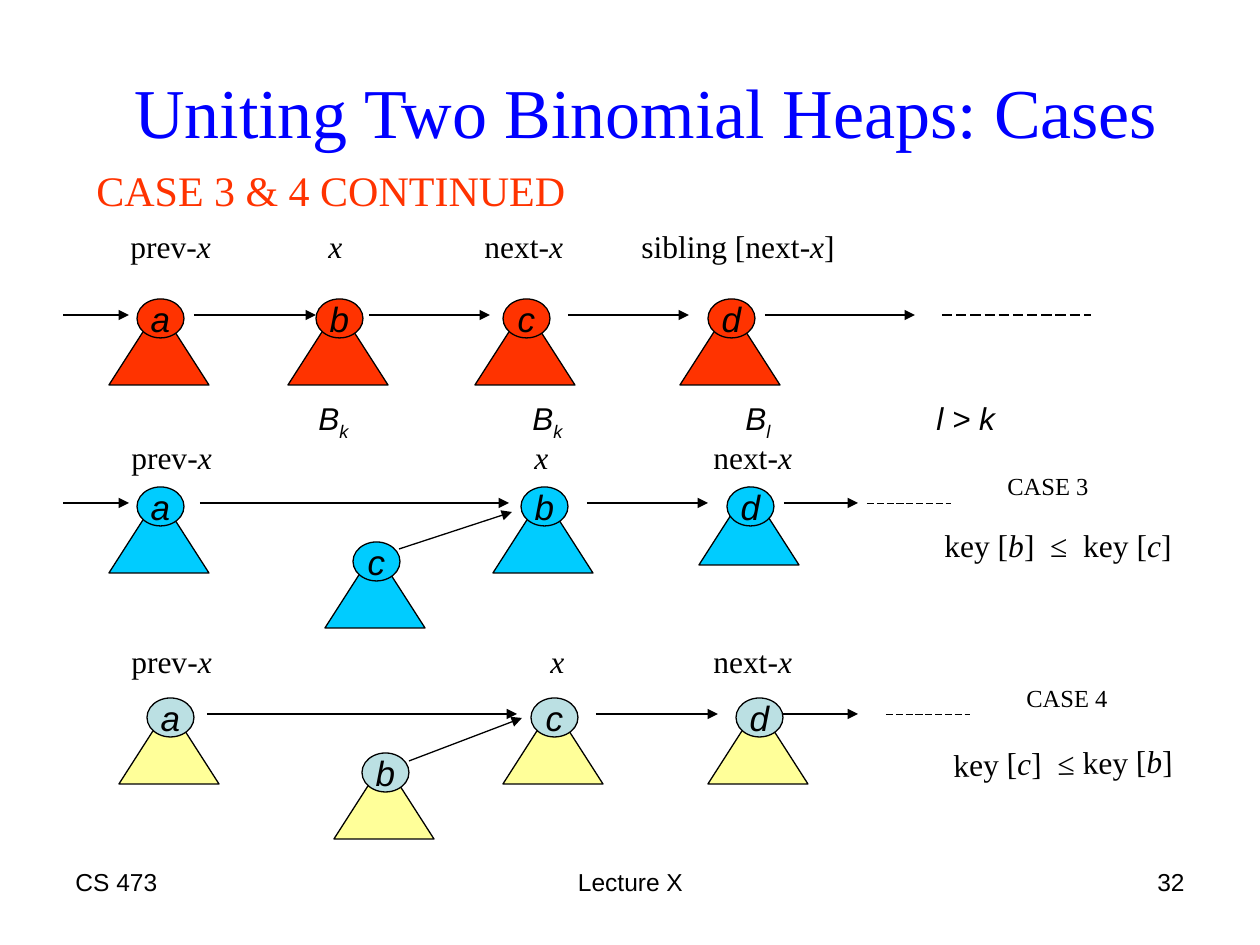
from dataclasses import dataclass
from pptx import Presentation
from pptx.dml.color import RGBColor
from pptx.enum.dml import MSO_LINE_DASH_STYLE as DASH
from pptx.enum.shapes import MSO_CONNECTOR as CONNECTOR, MSO_SHAPE as SHAPE
from pptx.enum.text import MSO_ANCHOR as ANCHOR, MSO_AUTO_SIZE as AUTOSIZE, PP_ALIGN as ALIGN
from pptx.oxml.ns import qn
from pptx.util import Inches, Pt
from lxml.etree import SubElement


@dataclass
class Theme:
    serif: str = "Times New Roman"
    sans: str = "Arial"
    ink: str = "000000"
    title: str = "0000FF"
    red: str = "FF3300"
    blue: str = "00CCFF"
    yellow: str = "FFFF99"
    pale: str = "BBE0E3"
    title_size: int = 40
    heading_size: int = 24
    node_size: int = 20
    label_size: int = 18
    small_size: int = 14
    outline: float = 0.74
    thin: float = 0.51


theme = Theme()
PX = Inches(1) / 126


def px(*lengths):
    return [round(length * PX) for length in lengths]


def write(frame, pieces, size, font=theme.serif, color=theme.ink, align=ALIGN.LEFT,
          italic=False, odd="italic", tabs=()):
    """Write pieces as runs; every second piece is italic or subscript."""
    frame.word_wrap = True
    line = frame.paragraphs[0]
    line.alignment = align
    if tabs:
        stops = SubElement(line._p.get_or_add_pPr(), qn("a:tabLst"))
        for stop in px(*tabs):
            SubElement(stops, qn("a:tab"), pos=str(stop), algn="l")
    for index, piece in enumerate(pieces):
        run = line.add_run()
        run.text = piece
        marked = index % 2 == 1
        looks = {"name": font, "size": Pt(size), "bold": False,
                 "italic": italic or (marked and odd == "italic")}
        for key, value in looks.items():
            setattr(run.font, key, value)
        run.font.color.rgb = RGBColor.from_string(color)
        if marked and odd == "subscript":
            run._r.get_or_add_rPr().set("baseline", "-25000")


deck = Presentation()
deck.slide_width, deck.slide_height = px(1260, 945)
slide = deck.slides.add_slide(deck.slide_layouts[5])
shapes = slide.shapes

# Title
title = shapes.title
title.left, title.top, title.width, title.height = px(63, 32, 1166, 158)
title.text_frame.auto_size = AUTOSIZE.NONE
title.text_frame.vertical_anchor = ANCHOR.MIDDLE
write(title.text_frame, ["Uniting Two Binomial Heaps: Cases"], theme.title_size,
      color=theme.title, align=ALIGN.CENTER)

# Heading, labels, conditions and footer: place, pieces, format
label, small = {"size": theme.label_size}, {"size": theme.small_size}
footer = {**small, "font": theme.sans}
texts = [
    ((84, 158, 567, 73), ["CASE 3 & 4 CONTINUED"],
     {"size": theme.heading_size, "color": theme.red}),
    ((118, 221, 873, 50), ["prev", "-x\tx\t", "next", "-x\t", "sibling [next", "-x", "]"],
     {**label, "tabs": (198, 354, 511)}),
    ((306, 393, 746, 55), ["B", "k", "\tB", "k", "\tB", "l", "\tl > k"],
     {**label, "font": theme.sans, "italic": True, "odd": "subscript",
      "tabs": (214, 427, 618)}),
    ((119, 432, 767, 50), ["prev", "-x\tx\t", "next", "-x"], {**label, "tabs": (403, 582)}),
    ((119, 636, 767, 50), ["prev", "-x\tx\t", "next", "-x"], {**label, "tabs": (419, 582)}),
    ((995, 465, 152, 43), ["CASE 3"], small),
    ((1014, 677, 152, 43), ["CASE 4"], small),
    ((932, 520, 285, 50), ["key [", "b", "]  ≤  key [", "c", "]"], label),
    ((63, 861, 294, 66), ["CS 473"], footer),
    ((431, 861, 399, 66), ["Lecture X"], {**footer, "align": ALIGN.CENTER}),
    ((903, 861, 294, 66), ["32"], {**footer, "align": ALIGN.RIGHT}),
]
for place, pieces, looks in texts:
    write(shapes.add_textbox(*px(*place)).text_frame, pieces, **looks)

# Tilted condition of case 4
case_4_key = shapes.add_textbox(*px(941, 737, 266, 50))
case_4_key.rotation = -1.1
write(case_4_key.text_frame, ["key [", "c", "]  ≤ key [", "b", "]"], **label)

# Links between roots: start, end
arrows = [(x1, y, x2, y) for y, spans in [
    (315, [(63, 129), (194, 316), (369, 490), (568, 689), (765, 915)]),
    (503, [(63, 129), (200, 509), (587, 708), (784, 858)]),
    (714, [(207, 517), (596, 718), (782, 858)]),
] for x1, x2 in spans]
arrows += [(399, 549, 512, 512), (409, 761, 522, 718)]
dashes = [(942, 315, 1091, 315), (867, 503, 951, 503), (886, 714, 970, 714)]
for ends in arrows + dashes:
    link = shapes.add_connector(CONNECTOR.STRAIGHT, *px(*ends))
    link.line.color.rgb = RGBColor.from_string(theme.ink)
    link.line.width = Pt(theme.outline if ends not in dashes[1:] else theme.thin)
    if ends in dashes:
        link.line.dash_style = DASH.LONG_DASH
    else:
        SubElement(link.line._get_or_add_ln(), qn("a:tailEnd"), type="triangle")
    SubElement(link._element.spPr, qn("a:effectLst"))

# Heaps: tree fill, root fill, then name, left and top of each root
forests = [
    (theme.red, theme.red, [("a", 137, 299), ("b", 316, 299), ("c", 503, 299), ("d", 708, 299)]),
    (theme.blue, theme.blue, [("a", 137, 487), ("c", 353, 542), ("b", 521, 487), ("d", 727, 487)]),
    (theme.yellow, theme.pale, [("a", 147, 698), ("b", 362, 753), ("c", 531, 698), ("d", 736, 698)]),
]
for tree_fill, root_fill, heaps in forests:
    for name, x, y in heaps:
        drop = 0 if (tree_fill, name) == (theme.blue, "d") else 8
        tree = shapes.add_shape(SHAPE.ISOSCELES_TRIANGLE, *px(x - 28, y + drop, 100, 78))
        root = shapes.add_shape(SHAPE.OVAL, *px(x, y, 47, 39))
        for part, fill in ((tree, tree_fill), (root, root_fill)):
            part.shadow.inherit = False
            part.fill.solid()
            part.fill.fore_color.rgb = RGBColor.from_string(fill)
            part.line.color.rgb = RGBColor.from_string(theme.ink)
            part.line.width = Pt(theme.outline)
        write(root.text_frame, [name], theme.node_size, theme.sans, align=ALIGN.CENTER, italic=True)
        root.text_frame.vertical_anchor = ANCHOR.MIDDLE
        root.text_frame.word_wrap = False

deck.save("out.pptx")
